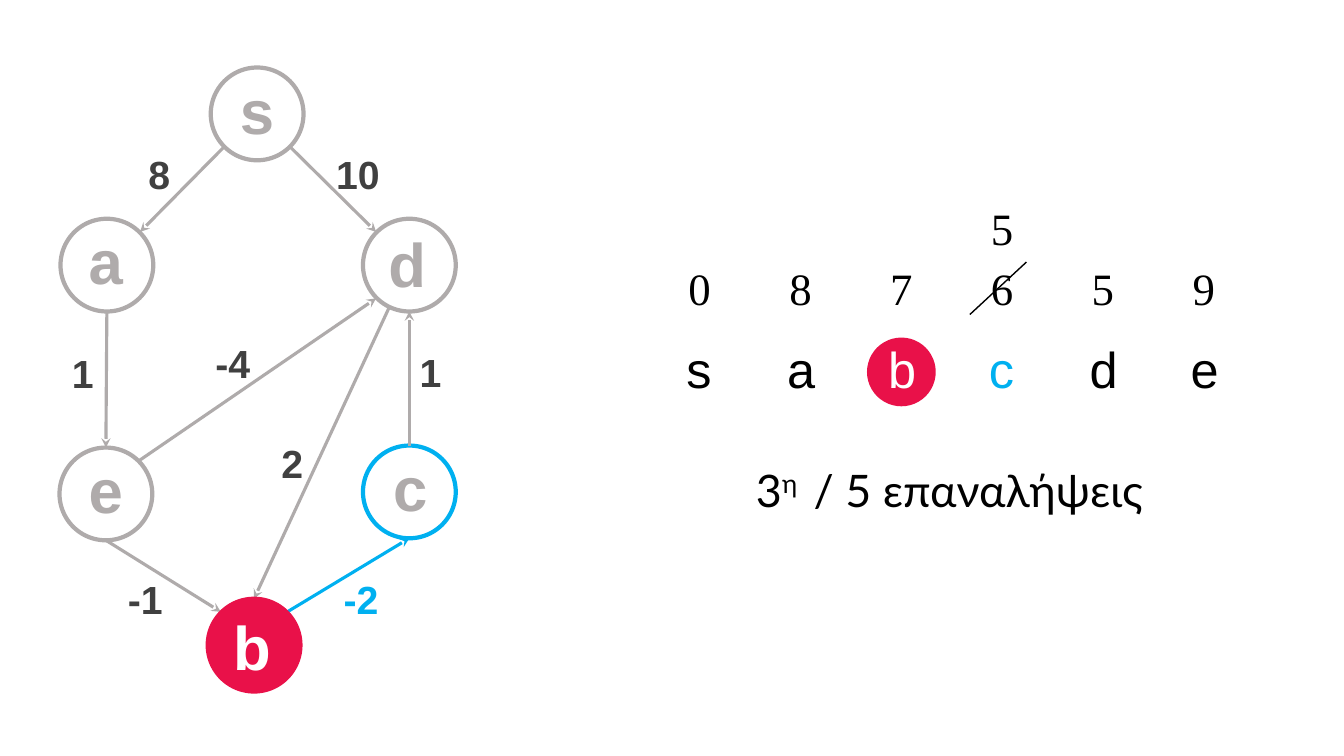
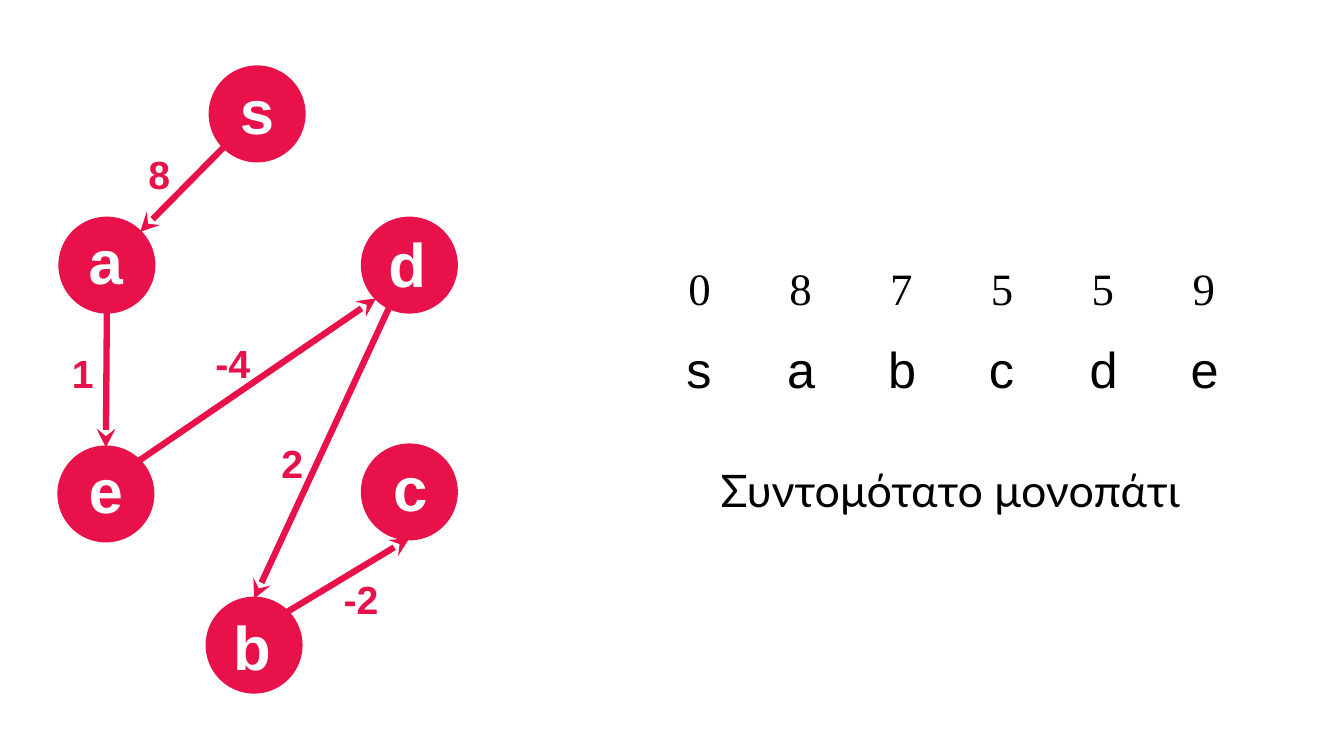
import math

import lxml.etree
import pptx
import pptx.dml.color
import pptx.enum.shapes
import pptx.enum.text
import pptx.oxml.ns
import pptx.util

GRAY = pptx.dml.color.RGBColor(0xAF, 0xAB, 0xAB)
DARK = pptx.dml.color.RGBColor(0x40, 0x40, 0x40)
BLUE = pptx.dml.color.RGBColor(0x00, 0xB0, 0xF0)
RED = pptx.dml.color.RGBColor(0xE9, 0x11, 0x49)
WHITE = pptx.dml.color.RGBColor(0xFF, 0xFF, 0xFF)
BLACK = pptx.dml.color.RGBColor(0x00, 0x00, 0x00)

NODE_SIZE = 92
COLUMN = 100

NODES = {
    "s": (209, 67, 0, -4),
    "a": (60, 217, -1, -5),
    "d": (360, 217, -2, -2),
    "e": (59, 444, 0, -5),
    "c": (360, 442, 1, -5),
    "b": (206, 594, -2, 1),
}

EDGES = {
    "sa": (135, -45, "8", 123, 144),
    "sd": (45, -135, "10", 320, 144),
    "ae": (90, -90, "1", 47, 342),
    "ed": (-45, 135, "-4", 196, 332),
    "db": (115.5, -90, "2", 255, 431),
    "eb": (90, -135, "-1", 109, 566),
    "bc": (-45, 90, "-2", 323, 566),
    "cd": (-90, 90, "1", 392, 341),
}


def px(length):
    return pptx.util.Emu(round(length * 9144))


def rim_point(name, angle):
    left, top = NODES[name][:2]
    radius = NODE_SIZE / 2
    turn = math.radians(angle)
    return (round(left + radius + radius * math.cos(turn)),
            round(top + radius + radius * math.sin(turn)))


class GraphDeck:
    FONTS = {
        "node": {"name": "Arial", "size": pptx.util.Pt(44), "bold": True},
        "weight": {"name": "Arial", "size": pptx.util.Pt(28), "bold": True},
        "letter": {"name": "Arial", "size": pptx.util.Pt(36)},
        "distance": {"name": "Times New Roman", "size": pptx.util.Pt(32)},
        "caption": {"name": "Lato", "size": pptx.util.Pt(32)},
    }

    def __init__(self):
        self.deck = pptx.Presentation()
        self.deck.slide_width = px(1333)
        self.deck.slide_height = px(750)
        self.page = None

    def new_page(self):
        self.page = self.deck.slides.add_slide(self.deck.slide_layouts[6])

    def add_span(self, para, text, style, color):
        span = para.add_run()
        span.text = text
        for key, value in self.FONTS[style].items():
            setattr(span.font, key, value)
        span.font.color.rgb = color
        return span

    def text(self, left, top, width, height, spans, style, centered=False):
        box = self.page.shapes.add_textbox(
            px(left), px(top), px(width), px(height))
        box.text_frame.word_wrap = True
        para = box.text_frame.paragraphs[0]
        if centered:
            para.alignment = pptx.enum.text.PP_ALIGN.CENTER
        return para, [self.add_span(para, text, style, color)
                      for text, color in spans]

    def row(self, left, top, height, cells, style):
        spans = [("\t" * (index > 0) + text, color)
                 for index, (text, color) in enumerate(cells)]
        para, _ = self.text(left, top, 590, height, spans, style)
        stops = lxml.etree.SubElement(
            para._p.get_or_add_pPr(), pptx.oxml.ns.qn("a:tabLst"))
        for index in range(1, len(cells)):
            lxml.etree.SubElement(stops, pptx.oxml.ns.qn("a:tab"),
                                  pos=str(px(index * COLUMN)), algn="l")

    def circle(self, left, top, size, line, fill=None):
        disc = self.page.shapes.add_shape(
            pptx.enum.shapes.MSO_SHAPE.OVAL,
            px(left), px(top), px(size), px(size))
        disc.shadow.inherit = False
        disc.line.color.rgb = line
        disc.line.width = pptx.util.Pt(3)
        if fill is None:
            disc.fill.background()
        else:
            disc.fill.solid()
            disc.fill.fore_color.rgb = fill
        return disc

    def node(self, name, line, fill=None):
        left, top, across, down = NODES[name]
        frame = self.circle(left, top, NODE_SIZE, line, fill).text_frame
        layout = {
            "word_wrap": False,
            "vertical_anchor": pptx.enum.text.MSO_ANCHOR.MIDDLE,
            "margin_left": px(max(0, 2 * across)),
            "margin_right": px(max(0, -2 * across)),
            "margin_top": px(max(0, 2 * down)),
            "margin_bottom": px(max(0, -2 * down)),
        }
        for key, value in layout.items():
            setattr(frame, key, value)
        para = frame.paragraphs[0]
        para.alignment = pptx.enum.text.PP_ALIGN.CENTER
        self.add_span(para, name, "node", GRAY if fill is None else WHITE)

    def line(self, start, end, color, width, arrow=False):
        connector = self.page.shapes.add_connector(
            pptx.enum.shapes.MSO_CONNECTOR.STRAIGHT,
            *map(px, start), *map(px, end))
        connector.line.color.rgb = color
        connector.line.width = pptx.util.Pt(width)
        if arrow:
            lxml.etree.SubElement(connector.line._get_or_add_ln(),
                                  pptx.oxml.ns.qn("a:tailEnd"), type="stealth")
        lxml.etree.SubElement(connector._element.spPr,
                              pptx.oxml.ns.qn("a:effectLst"))

    def edge(self, name, line_color, weight_color, width):
        leave, arrive, weight, left, top = EDGES[name]
        self.line(rim_point(name[0], leave), rim_point(name[1], arrive),
                  line_color, width, arrow=True)
        self.text(left, top, 70, 57, [(weight, weight_color)], "weight", True)

    def distances(self, values):
        self.row(673, 254, 63, [(value, BLACK) for value in values],
                 "distance")

    def letters(self, colors):
        self.row(671, 331, 70,
                 [(name, colors.get(name, BLACK)) for name in "sabcde"],
                 "letter")

    def caption(self, left, width, *texts):
        return self.text(left, 454, width, 63,
                         [(text, BLACK) for text in texts], "caption")[1]


def third_iteration(graph):
    graph.new_page()
    for name in "sadec":
        graph.node(name, BLUE if name == "c" else GRAY)
    for name in EDGES:
        active = name == "bc"
        graph.edge(name, BLUE if active else GRAY,
                   BLUE if active else DARK, 2.25)
    graph.node("b", RED, RED)
    graph.distances("087659")
    graph.text(973, 194, 70, 63, [("5", BLACK)], "distance")
    graph.line((1018, 260), (962, 312), BLACK, 1)
    graph.circle(862, 337, 64, RED, RED)
    graph.letters({"b": WHITE, "c": BLUE})
    ordinal = graph.caption(740, 410, "3", "η", " / 5 επαναλήψεις")[1]
    for key, value in {"baseline": "30000", "spc": "360"}.items():
        ordinal._r.get_or_add_rPr().set(key, value)


def shortest_path(graph):
    graph.new_page()
    for name in NODES:
        graph.node(name, RED, RED)
    for name in ("sa", "ae", "ed", "db", "bc"):
        graph.edge(name, RED, RED, 4.5)
    graph.distances("087559")
    graph.letters({})
    graph.caption(705, 484, "Συντομότατο μονοπάτι")


def main():
    graph = GraphDeck()
    third_iteration(graph)
    shortest_path(graph)
    graph.deck.save("out.pptx")


if __name__ == "__main__":
    main()
